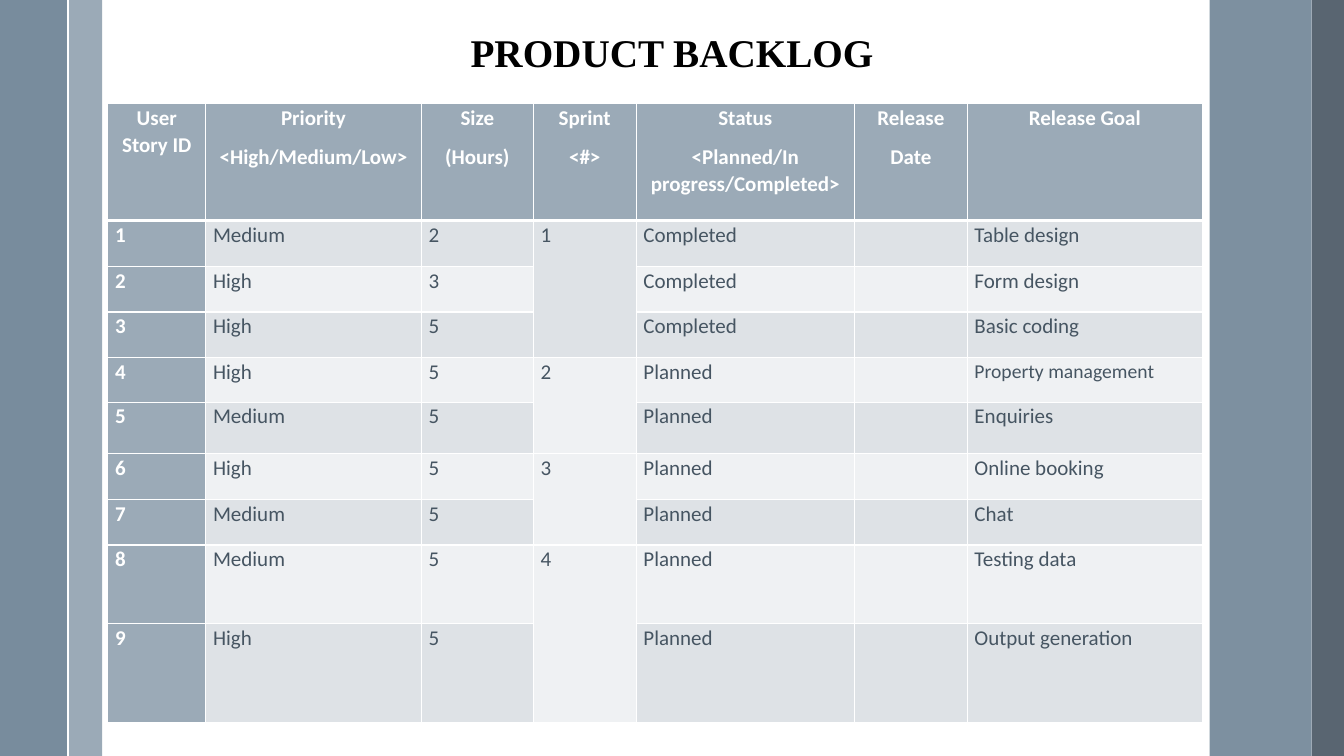
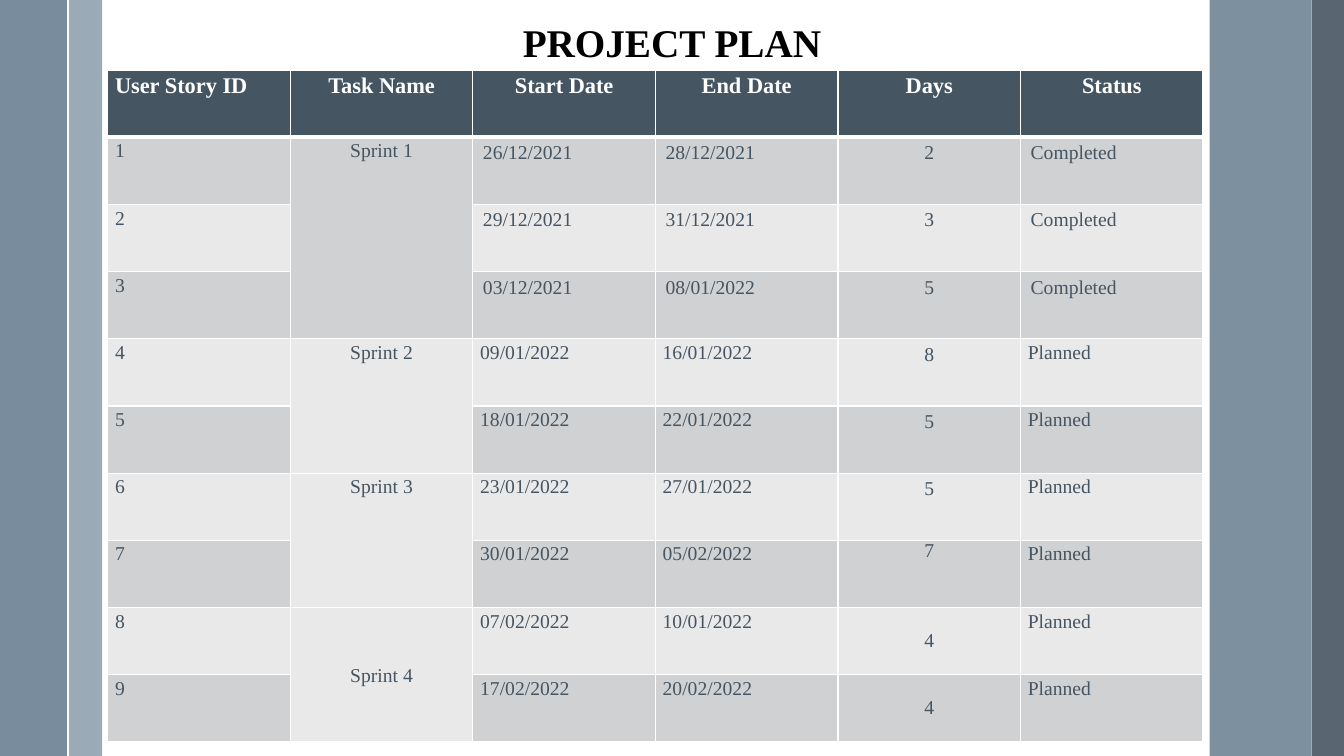
from itertools import accumulate

from lxml.etree import SubElement
from pptx import Presentation
from pptx.dml.color import RGBColor
from pptx.enum.shapes import MSO_CONNECTOR, MSO_SHAPE
from pptx.enum.text import MSO_ANCHOR, PP_ALIGN
from pptx.oxml import parse_xml
from pptx.oxml.ns import nsdecls, qn
from pptx.util import Pt

WIDE, HIGH = 960, 540
LEFT = 77
WHITE = RGBColor(0xFF, 0xFF, 0xFF)
BLACK = RGBColor(0, 0, 0)
MIST = RGBColor(0x9B, 0xAA, 0xB7)
STEEL = RGBColor(0x6A, 0x80, 0x93)
SLATE = RGBColor(0x47, 0x55, 0x62)
INK = RGBColor(0x46, 0x55, 0x62)
BLUES = (RGBColor(0xDE, 0xE2, 0xE6), RGBColor(0xEF, 0xF1, 0xF3))
GREYS = (RGBColor(0xCF, 0xD1, 0xD3), RGBColor(0xE9, 0xE9, 0xEA))
SERIF, SANS = "Times New Roman", "Calibri"
SPANS = (3, 2, 2, 2)

BANDS = (
    (49, 24, MIST, 100),
    (0, 48.5, STEEL, 90),
    (864, 73, STEEL, 87),
    (937, 23, SLATE, 90),
)

BACKLOG = (
    ("User Story ID", "Priority\n<High/Medium/Low>", "Size\n(Hours)", "Sprint\n<#>",
     "Status\n<Planned/In progress/Completed>", "Release\nDate", "Release Goal"),
    ("1", "Medium", "2", "1", "Completed", "", "Table design"),
    ("2", "High", "3", "", "Completed", "", "Form design"),
    ("3", "High", "5", "", "Completed", "", "Basic coding"),
    ("4", "High", "5", "2", "Planned", "", "Property management"),
    ("5", "Medium", "5", "", "Planned", "", "Enquiries"),
    ("6", "High", "5", "3", "Planned", "", "Online booking"),
    ("7", "Medium", "5", "", "Planned", "", "Chat"),
    ("8", "Medium", "5", "4", "Planned", "", "Testing data"),
    ("9", "High", "5", "", "Planned", "", "Output generation"),
)

PLAN = (
    ("User Story ID", "Task Name", "Start Date", "End Date", "Days", "Status"),
    ("1", "Sprint 1", "26/12/2021", "28/12/2021", "2", "Completed"),
    ("2", "", "29/12/2021", "31/12/2021", "3", "Completed"),
    ("3", "", "03/12/2021", "08/01/2022", "5", "Completed"),
    ("4", "Sprint 2", "09/01/2022", "16/01/2022", "8", "Planned"),
    ("5", "", "18/01/2022", "22/01/2022", "5", "Planned"),
    ("6", "Sprint 3", "23/01/2022", "27/01/2022", "5", "Planned"),
    ("7", "", "30/01/2022", "05/02/2022", "7", "Planned"),
    ("8", "Sprint 4", "07/02/2022", "10/01/2022", "4", "Planned"),
    ("9", "", "17/02/2022", "20/02/2022", "4", "Planned"),
)


def write(frame, text, font=SERIF, size=14, color=INK, bold=False,
          align=PP_ALIGN.LEFT, line=None, after=0):
    frame.word_wrap = True
    for i, part in enumerate(text.split("\n")):
        para = frame.add_paragraph() if i else frame.paragraphs[0]
        para.alignment = align
        para.space_after = Pt(after)
        if line:
            para.line_spacing = line
        run = para.add_run()
        run.text = part
        run.font.name = font
        run.font.size = Pt(size)
        run.font.bold = bold
        run.font.color.rgb = color


def add_band(slide, left, width, color, alpha):
    band = slide.shapes.add_shape(
        MSO_SHAPE.RECTANGLE, Pt(left), 0, Pt(width), Pt(HIGH))
    band.shadow.inherit = False
    band.line.fill.background()
    band.fill.solid()
    band.fill.fore_color.rgb = color
    if alpha < 100:
        tint = band.element.spPr.find(f"{qn('a:solidFill')}/{qn('a:srgbClr')}")
        SubElement(tint, qn("a:alpha"), val=str(alpha * 1000))


def add_rule(slide, left):
    rule = slide.shapes.add_connector(
        MSO_CONNECTOR.STRAIGHT, Pt(left), 0, Pt(left), Pt(HIGH))
    rule.line.color.rgb = WHITE
    rule.line.width = Pt(1.5)
    SubElement(rule.element.spPr, qn("a:effectLst"))


def add_page(deck, title, top, width):
    slide = deck.slides.add_slide(deck.slide_layouts[5])
    for band in BANDS:
        add_band(slide, *band)
    add_rule(slide, 48.5)
    head = slide.shapes.title
    head.left, head.top = Pt((WIDE - width) / 2), Pt(top)
    head.width, head.height = Pt(width), Pt(41)
    head.text_frame.vertical_anchor = MSO_ANCHOR.TOP
    write(head.text_frame, title, size=28, color=BLACK, bold=True,
          align=PP_ALIGN.CENTER)
    return slide


def set_edges(cell, row):
    edges = {"L": 1, "R": 1, "T": 3 if row == 1 else 1, "B": 1 if row else 3}
    props = cell._tc.get_or_add_tcPr()
    for i, (side, width) in enumerate(edges.items()):
        props.insert(i, parse_xml(
            f'<a:ln{side} {nsdecls("a")} w="{Pt(width)}"><a:solidFill>'
            f'<a:srgbClr val="{WHITE}"/></a:solidFill></a:ln{side}>'))


def add_grid(slide, top, widths, heights, data, join, style):
    grid = slide.shapes.add_table(
        len(heights), len(widths), Pt(LEFT), Pt(top),
        Pt(sum(widths)), Pt(sum(heights))).table
    for col, width in zip(grid.columns, widths):
        col.width = Pt(width)
    for row, height in zip(grid.rows, heights):
        row.height = Pt(height)
    for r, texts in enumerate(data):
        for c, text in enumerate(texts):
            cell = grid.cell(r, c)
            fill, tight, anchor, form = style(r, c)
            cell.fill.solid()
            cell.fill.fore_color.rgb = fill
            set_edges(cell, r)
            cell.vertical_anchor = anchor
            if tight:
                cell.margin_left = cell.margin_right = Pt(5.2)
                cell.margin_top = cell.margin_bottom = 0
            if text:
                write(cell.text_frame, text, **form)
    for end, span in zip(accumulate(SPANS), SPANS):
        grid.cell(end - span + 1, join).merge(grid.cell(end, join))


def style_log(row, col):
    strong = row == 0 or col == 0
    form = dict(
        font=SANS, size=14 if (row, col) == (4, 6) else 15, bold=strong,
        color=WHITE if strong else INK, line=1.07, after=8,
        align=PP_ALIGN.LEFT if row else PP_ALIGN.CENTER)
    fill = MIST if strong else BLUES[(row - 1) % 2]
    return fill, True, MSO_ANCHOR.TOP, form


def style_plan(row, col):
    days = row > 0 and col == 4
    loose = 1 <= row <= 3 and col >= 2 or days and row <= 6
    low = row >= 8 and col in (1, 4)
    mid = col == 1 or days or row == 0 and col > 0
    form = dict(
        size=14 if row else 16, bold=row == 0,
        color=INK if row else WHITE,
        line=None if loose or days else 1.15,
        align=PP_ALIGN.CENTER if mid else PP_ALIGN.LEFT)
    fill = GREYS[(row - 1) % 2] if row else INK
    anchor = MSO_ANCHOR.MIDDLE if low else MSO_ANCHOR.TOP
    return fill, not loose, anchor, form


def main():
    deck = Presentation()
    deck.slide_width, deck.slide_height = Pt(WIDE), Pt(HIGH)
    slide = add_page(deck, "PRODUCT BACKLOG", 16.5, 412)
    add_grid(slide, 74, (70, 154, 80, 73.5, 156, 80.5, 168),
             (83.5, 32.7, 32.7, 32.7, 31.7, 36.7, 32.7, 32.7, 56.2, 70.6),
             BACKLOG, 3, style_log)
    slide = add_page(deck, "PROJECT PLAN", 9.5, 238)
    add_grid(slide, 50, [130.4] * 6, [48] * 10, PLAN, 1, style_plan)
    deck.save("out.pptx")


if __name__ == "__main__":
    main()
